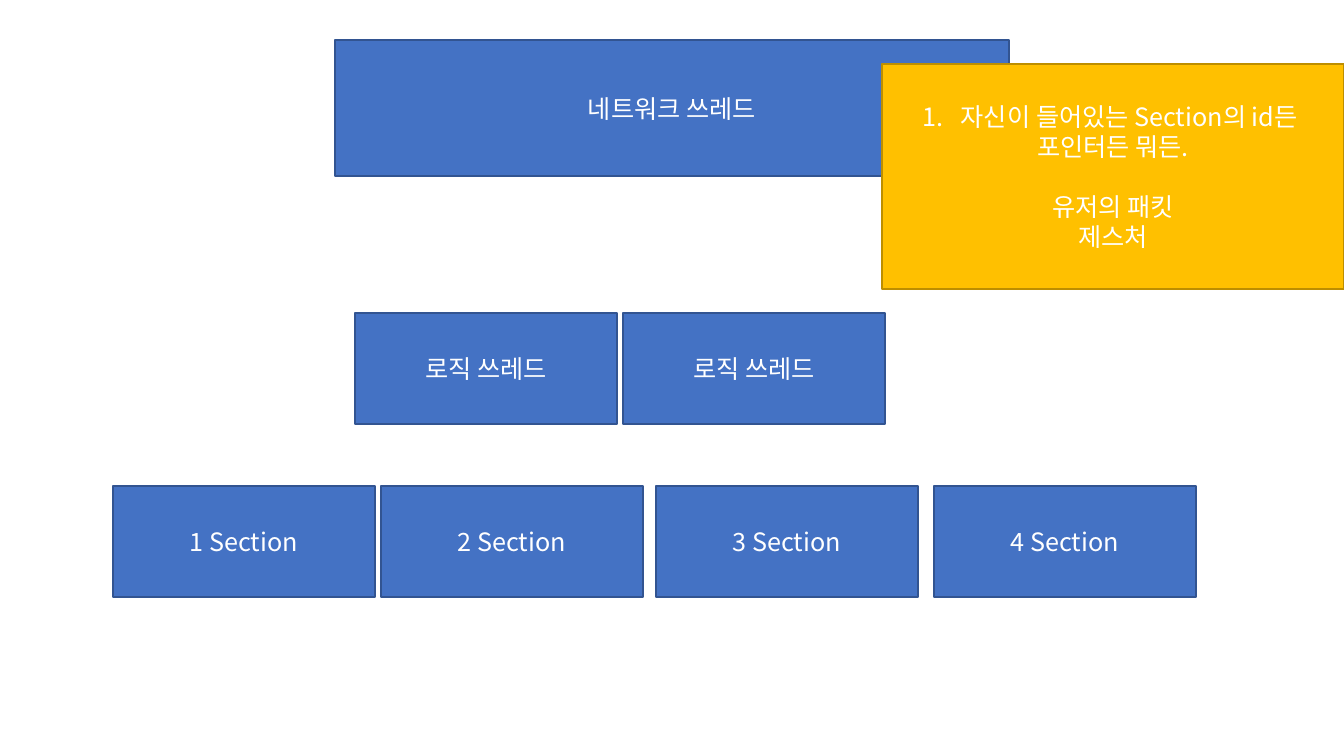
from dataclasses import dataclass

from lxml import etree
from pptx import Presentation
from pptx import util as u
from pptx.dml.color import RGBColor
from pptx.enum import shapes, text
from pptx.oxml.ns import qn

EMU_PER_PIXEL = 12192000 / 1344


@dataclass(frozen=True)
class Theme:
    """Colours, font and type sizes of the slide."""
    blue: str = "4472C4"
    blue_edge: str = "325491"
    gold: str = "FFC000"
    gold_edge: str = "BD8E00"
    ink: str = "FFFFFF"
    font: str = "Noto Sans CJK KR"
    size: float = 18
    edge_width: float = 1
    block_gap: float = 21.5


THEME = Theme()


@dataclass(frozen=True)
class Line:
    """One paragraph of a box."""
    words: str
    numbered: bool = False
    space_before: float = 0


@dataclass(frozen=True)
class Block:
    """A filled rectangle with centred text; lengths in pixels."""
    left: int
    top: int
    width: int
    height: int
    lines: tuple[Line, ...]
    fill: str = THEME.blue
    edge: str = THEME.blue_edge


def px(pixels: int) -> int:
    """Turn pixels into EMU."""
    return round(pixels * EMU_PER_PIXEL)


def apply(target: object, formats: dict[str, object]) -> None:
    """Set every attribute named in formats."""
    for name, value in formats.items():
        setattr(target, name, value)


def add_number(para: object) -> None:
    """Give a paragraph an automatic number with a hanging indent."""
    properties = para._p.get_or_add_pPr()
    properties.set("marL", str(px(38)))
    properties.set("indent", str(-px(38)))
    etree.SubElement(properties, qn("a:buAutoNum"), type="arabicPeriod")


def write_line(para: object, line: Line) -> None:
    """Write one centred paragraph."""
    apply(para, {"alignment": text.PP_ALIGN.CENTER,
                 "space_before": u.Pt(line.space_before)})
    if line.numbered:
        add_number(para)
    span = para.add_run()
    span.text = line.words
    span.font.color.rgb = RGBColor.from_string(THEME.ink)
    apply(span.font, {"size": u.Pt(THEME.size), "name": THEME.font})
    etree.SubElement(span.font._element, qn("a:ea"), typeface=THEME.font)


def draw_block(page: object, block: Block) -> None:
    """Draw one rectangle and its text."""
    box = page.shapes.add_shape(
        shapes.MSO_SHAPE.RECTANGLE,
        *map(px, (block.left, block.top, block.width, block.height)))
    box.shadow.inherit = False
    box.fill.solid()
    box.fill.fore_color.rgb = RGBColor.from_string(block.fill)
    box.line.color.rgb = RGBColor.from_string(block.edge)
    box.line.width = u.Pt(THEME.edge_width)
    frame = box.text_frame
    apply(frame, {"word_wrap": True,
                  "vertical_anchor": text.MSO_ANCHOR.MIDDLE})
    for index, line in enumerate(block.lines):
        para = frame.add_paragraph() if index else frame.paragraphs[0]
        write_line(para, line)


def small_block(left: int, top: int, words: str) -> Block:
    """Describe a thread or section box of the common size."""
    return Block(left, top, 262, 111, (Line(words),))


NETWORK = Block(335, 40, 674, 136, (Line("네트워크 쓰레드"),))
NOTE = Block(882, 64, 462, 225, (
    Line("자신이 들어있는 Section의 id든 ", numbered=True),
    Line("포인터든 뭐든."),
    Line("유저의 패킷", space_before=THEME.block_gap),
    Line("제스처"),
), THEME.gold, THEME.gold_edge)
LOGIC = [small_block(left, 313, "로직 쓰레드") for left in (355, 623)]
SECTIONS = [small_block(left, 486, f"{number} Section")
            for number, left in enumerate((113, 381, 656, 934), start=1)]


def main() -> None:
    """Build and save the deck."""
    deck = Presentation()
    apply(deck, {"slide_width": px(1344), "slide_height": px(756)})
    page = deck.slides.add_slide(deck.slide_layouts[6])
    for block in (NETWORK, NOTE, *LOGIC, *SECTIONS):
        draw_block(page, block)
    deck.save("out.pptx")


main()
